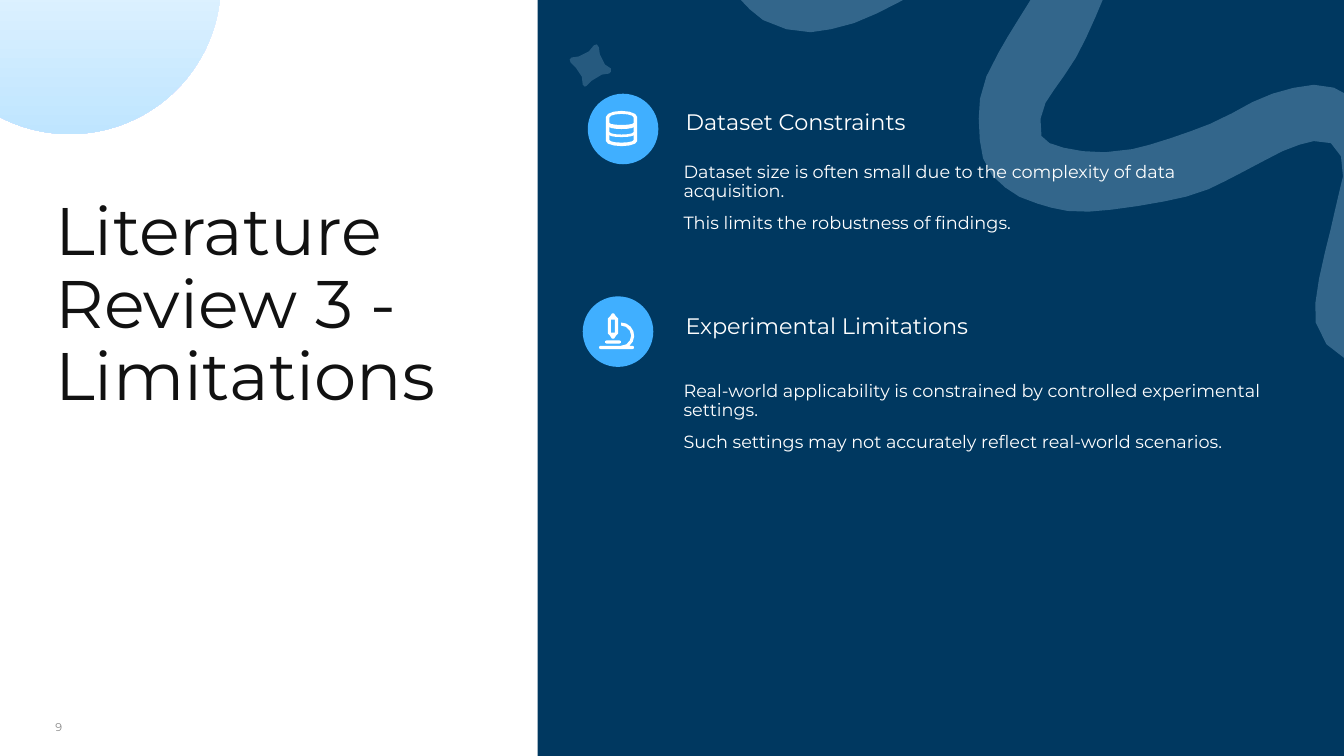
"""Build the limitations slide: title on the left, two icon topics on a dark panel."""
from math import ceil, cos, dist, radians, sin

from lxml import etree
from pptx import Presentation
from pptx.dml.color import RGBColor
from pptx.enum.shapes import MSO_SHAPE
from pptx.enum.text import MSO_ANCHOR
from pptx.oxml.ns import qn
from pptx.util import Inches, Pt

RECT, OVAL = MSO_SHAPE.RECTANGLE, MSO_SHAPE.OVAL
TOP, MIDDLE = MSO_ANCHOR.TOP, MSO_ANCHOR.MIDDLE
W, H = 13.33, 7.5
FONT = "Montserrat"
NAVY, SKY, PALE, WHITE = "003860", "40AFFF", "BFE5FF", "FFFFFF"
INK, GREY = "111111", "888888"

TITLE = "Literature Review 3 - Limitations"
PAGE = "9"
TOPICS = [
    {"heading": "Dataset Constraints", "icon": "database",
     "body": ["Dataset size is often small due to the complexity of data acquisition.",
              "This limits the robustness of findings."],
     "disc": (5.83, 0.93), "heading_y": 1.1, "body_y": 1.62},
    {"heading": "Experimental Limitations", "icon": "microscope",
     "body": ["Real-world applicability is constrained by controlled experimental settings.",
              "Such settings may not accurately reflect real-world scenarios."],
     "disc": (5.78, 2.94), "heading_y": 3.13, "body_y": 3.79},
]
PANEL_X = 0.4 * W
MARGIN = 0.55
HEADING_X, BODY_X, TEXT_W = 6.8, 6.78, 5.8
DISC = 0.7

RIBBON = [
    (14.65, 2.81), (13.84, 3.12), (13.52, 3.05), (13.56, 2.6), (13.78, 2.05),
    (13.78, 1.35), (13.23, 0.87), (12.62, 0.93), (12, 1.23), (11.23, 1.48),
    (10.74, 1.5), (10.41, 1.42), (10.33, 1.35), (10.32, 1.18), (10.37, 1.02),
    (10.77, 0.38), (11.03, -0.55), (10.35, -1.38), (9.38, -1.13), (8.44, -0.55),
    (7.95, -0.44), (7.97, -0.84), (8.25, -1.7), (7.85, -2.19), (7.49, -1.79),
    (7.19, -0.79), (7.21, -0.26), (7.32, -0.03), (7.57, 0.2), (7.8, 0.29),
    (8.04, 0.32), (8.47, 0.23), (8.92, 0.02), (9.3, -0.2), (9.99, -0.65),
    (10.33, -0.61), (10.35, -0.34), (10.29, -0.12), (9.9, 0.53), (9.72, 0.98),
    (9.75, 1.57), (9.97, 1.86), (10.29, 2.02), (10.8, 2.1), (11.77, 1.95),
    (12.3, 1.72), (12.72, 1.5), (13.03, 1.4), (13.2, 1.42), (13.3, 1.55),
    (13.32, 1.75), (13.24, 2.09), (13.05, 3.2), (13.54, 3.64), (14.22, 3.57),
    (14.91, 3.35), (15.09, 2.93),
]
SPARKLE = [
    (5.94, 0.47), (5.95, 0.54), (6, 0.64), (6.06, 0.68), (6.06, 0.71),
    (6.04, 0.73), (5.97, 0.74), (5.87, 0.8), (5.82, 0.85), (5.8, 0.86),
    (5.78, 0.84), (5.77, 0.76), (5.71, 0.67), (5.66, 0.62), (5.65, 0.59),
    (5.67, 0.57), (5.74, 0.56), (5.84, 0.51), (5.89, 0.45), (5.92, 0.44),
]
TUBE = [
    (6.05, 3.14), (6.07, 3.11), (6.09, 3.11), (6.11, 3.14), (6.13, 3.16), (6.13, 3.31),
    (6.11, 3.33), (6.09, 3.36), (6.07, 3.36), (6.05, 3.33), (6.03, 3.31), (6.03, 3.16),
]
LENS = [(6.06, 3.17), (6.1, 3.17), (6.1, 3.3), (6.06, 3.3)]


def rgb(value):
    return RGBColor.from_string(value)


def smooth(pts, step=0.25):
    """Return a closed Catmull-Rom curve, cut finer where points lie far apart."""
    n, curve = len(pts), []
    for i in range(n):
        around = [pts[(i + k) % n] for k in (-1, 0, 1, 2)]
        cuts = ceil(dist(around[1], around[2]) / step)
        for t in (s / cuts for s in range(cuts)):
            curve.append(tuple(
                b + 0.5 * t * (c - a + t * (2 * a - 5 * b + 4 * c - d
                                            + t * (3 * (b - c) + d - a)))
                for a, b, c, d in zip(*around)))
    return curve


def arc(cx, cy, rx, ry, start, end, steps=6):
    angles = [radians(start + (end - start) * i / steps) for i in range(steps + 1)]
    return [(cx + rx * cos(a), cy + ry * sin(a)) for a in angles]


def pill(left, right, y, r=0.016):
    return arc(left + r, y, r, r, 90, 270, 3) + arc(right - r, y, r, r, -90, 90, 3)


def database():
    """Return the outline of a cylinder and its three windows."""
    x, rx = 6.165, 0.12
    outline = arc(x, 1.16, 0.155, 0.06, 180, 360) + arc(x, 1.4, 0.155, 0.05, 0, 180)
    lid = arc(x, 1.165, rx, 0.035, 180, 360) + arc(x, 1.22, rx, 0.02, 0, 180)
    bands = [arc(x, y, rx, 0.02, 180, 0) + arc(x, y + 0.05, rx, 0.025, 0, 180)
             for y in (1.26, 1.34)]
    return [outline, lid, *bands]


def microscope():
    """Return the tube, its window, the arm, the base and the stage."""
    x, y = 6.16, 3.33
    arm = arc(x, y, 0.13, 0.13, -90, 50) + arc(x, y, 0.1, 0.1, 90, -90)
    return [TUBE, LENS, arm, pill(5.94, 6.29, 3.447), pill(6, 6.16, 3.393)]


def paint(sp, color, alpha=None):
    sp.shadow.inherit = False
    sp.line.fill.background()
    sp.fill.solid()
    sp.fill.fore_color.rgb = rgb(color)
    if alpha:
        clr = sp._element.spPr.find(".//" + qn("a:srgbClr"))
        etree.SubElement(clr, qn("a:alpha")).set("val", str(alpha * 1000))


def add_shape(slide, kind, x, y, w, h, color):
    sp = slide.shapes.add_shape(kind, Inches(x), Inches(y), Inches(w), Inches(h))
    paint(sp, color)
    return sp


def add_outline(slide, contours, color, alpha=None):
    first, *rest = [[(Inches(x), Inches(y)) for x, y in c] for c in contours]
    fb = slide.shapes.build_freeform(*first[0])
    fb.add_line_segments(first[1:])
    for contour in rest:
        fb.move_to(*contour[0])
        fb.add_line_segments(contour[1:])
    paint(fb.convert_to_shape(), color, alpha)


def add_text(slide, lines, x, y, w, h, size, color, anchor=TOP, gap=0):
    tf = slide.shapes.add_textbox(Inches(x), Inches(y), Inches(w), Inches(h)).text_frame
    tf.word_wrap = True
    tf.vertical_anchor = anchor
    tf.margin_left = tf.margin_right = tf.margin_top = tf.margin_bottom = 0
    tf.text = "\n".join(lines)
    for i, p in enumerate(tf.paragraphs):
        p.line_spacing = 0.9
        p.space_before = Pt(gap if i else 0)
        for r in p.runs:
            r.font.name, r.font.size, r.font.color.rgb = FONT, Pt(size), rgb(color)


def main():
    prs = Presentation()
    prs.slide_width, prs.slide_height = Inches(W), Inches(H)
    slide = prs.slides.add_slide(prs.slide_layouts[6])

    add_text(slide, [PAGE], MARGIN, 7.12, 0.2, 0.2, 8, GREY, MIDDLE)
    add_shape(slide, RECT, PANEL_X, 0, W - PANEL_X, H, NAVY)
    add_text(slide, [TITLE], MARGIN, 1.96, 4.27, 4.42, 48, INK)
    add_outline(slide, [smooth(RIBBON)], PALE, 27)
    add_outline(slide, [SPARKLE], PALE, 20)

    icons = {"database": database, "microscope": microscope}
    for topic in TOPICS:
        add_shape(slide, OVAL, *topic["disc"], DISC, DISC, SKY)
        add_outline(slide, icons[topic["icon"]](), WHITE)
        add_text(slide, [topic["heading"]], HEADING_X, topic["heading_y"],
                 TEXT_W, 0.4, 16, WHITE)
        add_text(slide, topic["body"], BODY_X, topic["body_y"],
                 TEXT_W, 0.6, 12.6, WHITE, gap=9)

    sun = add_shape(slide, OVAL, -0.81, -1.67, 3, 3, WHITE)
    sun.fill.gradient()
    sun.fill.gradient_angle = 270
    for stop, position, color in zip(sun.fill.gradient_stops, (0, 1), (WHITE, PALE)):
        stop.position, stop.color.rgb = position, rgb(color)

    prs.save("out.pptx")


if __name__ == "__main__":
    main()
